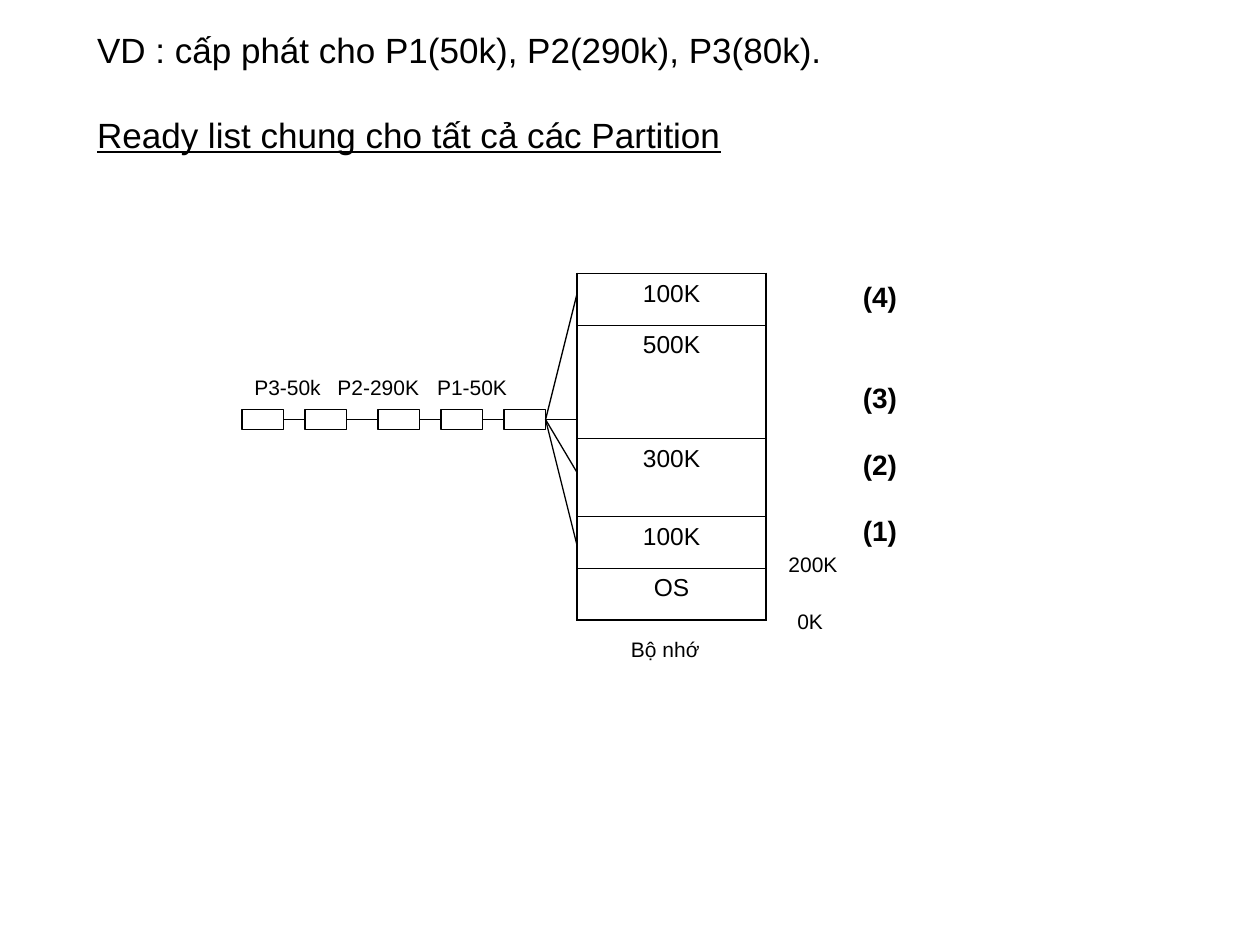
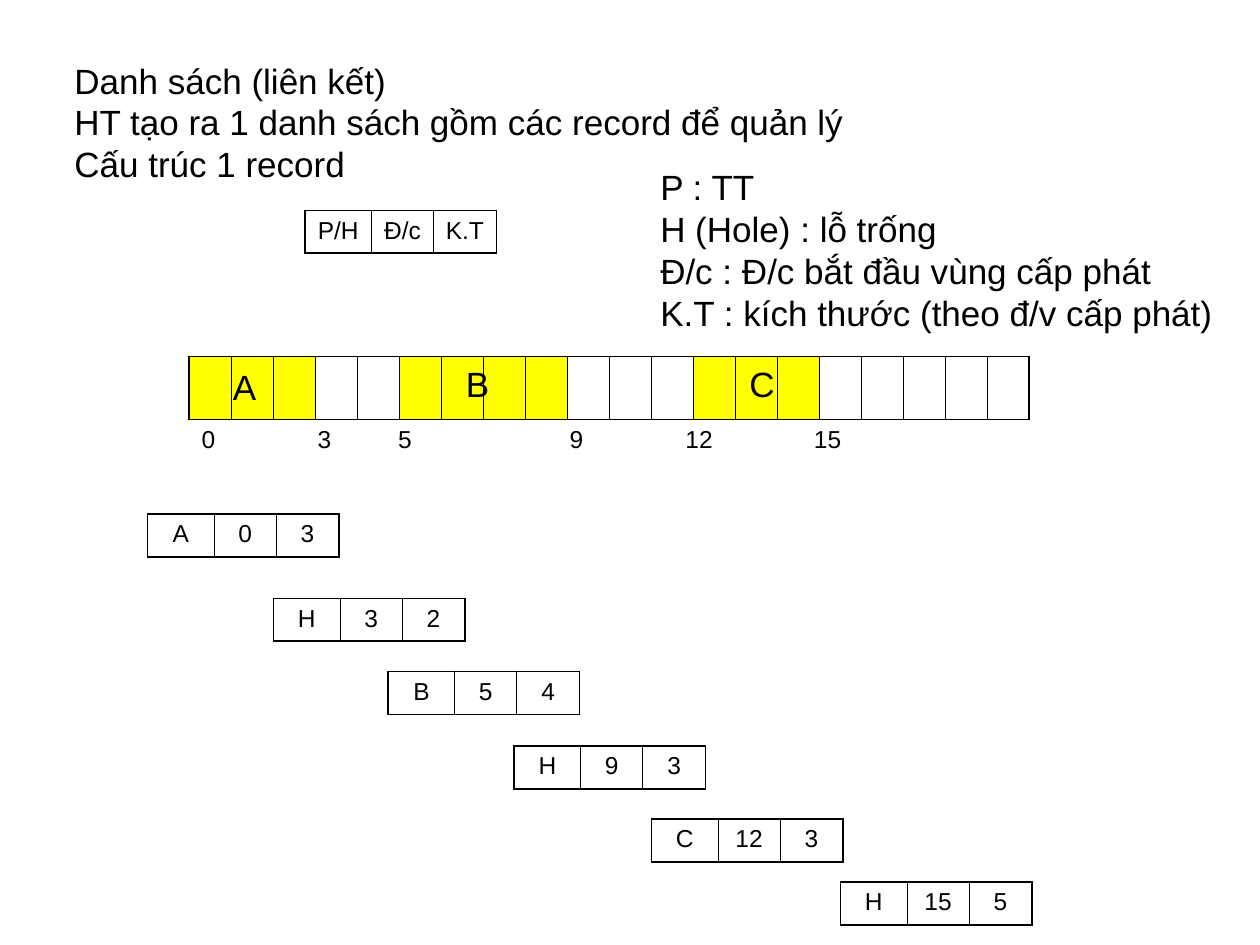
"""Build two slides on memory partitions and linked allocation records."""
from dataclasses import dataclass

from lxml import etree
from pptx import Presentation
from pptx.dml.color import RGBColor
from pptx.enum.shapes import MSO_CONNECTOR, MSO_SHAPE
from pptx.enum.text import MSO_ANCHOR, MSO_AUTO_SIZE, PP_ALIGN
from pptx.oxml.ns import qn
from pptx.util import Inches, Pt

STRAIGHT = MSO_CONNECTOR.STRAIGHT
RECTANGLE = MSO_SHAPE.RECTANGLE
TOP = MSO_ANCHOR.TOP
NO_AUTOFIT = MSO_AUTO_SIZE.NONE
LEFT, CENTER = PP_ALIGN.LEFT, PP_ALIGN.CENTER
LEFT_SIDE, RIGHT_SIDE = 1, 3
TITLE_AND_BODY, TWO_BODIES = 1, 3


@dataclass(frozen=True)
class Theme:
    """Colours, font, type sizes and line widths shared by the slides."""
    font: str = "Arial"
    ink: RGBColor = RGBColor(0, 0, 0)
    used: RGBColor = RGBColor(0xFF, 0xFF, 0)
    heading: int = 20
    number: int = 16
    cell: int = 14
    label: int = 12
    line: float = 0.75
    outer: float = 1.08
    inner: float = 0.45


THEME = Theme()
PARTITIONS = [("100K", 0.41), ("500K", 0.9), ("300K", 0.62), ("100K", 0.41), ("OS", 0.41)]
HOLE = "H"
UNITS = 20
RECORDS = [
    ("A", 0, 3, 1.17, 4.08),
    (HOLE, 3, 2, 2.17, 4.75),
    ("B", 5, 4, 3.08, 5.33),
    (HOLE, 9, 3, 4.08, 5.92),
    ("C", 12, 3, 5.17, 6.5),
    (HOLE, 15, 5, 6.67, 7),
]


def add_run(paragraph, text, size, bold=False, underline=False):
    """Add one run in the theme font."""
    run = paragraph.add_run()
    run.text = text
    font = run.font
    font.name, font.size, font.color.rgb = THEME.font, Pt(size), THEME.ink
    font.bold, font.underline = bold, underline


def fill_placeholder(placeholder, lines, left, top, width, underline=False):
    """Move a placeholder and fill it with plain left-aligned lines."""
    placeholder.left, placeholder.top = Inches(left), Inches(top)
    placeholder.width, placeholder.height = Inches(width), Inches(len(lines) / 3)
    frame = placeholder.text_frame
    frame.margin_left = frame.margin_right = frame.margin_top = frame.margin_bottom = 0
    frame.word_wrap, frame.auto_size, frame.vertical_anchor = True, NO_AUTOFIT, TOP
    for index, line in enumerate(lines):
        paragraph = frame.add_paragraph() if index else frame.paragraphs[0]
        properties = paragraph._p.get_or_add_pPr()
        properties.set("marL", "0")
        properties.set("indent", "0")
        etree.SubElement(properties, qn("a:buNone"))
        paragraph.alignment = LEFT
        paragraph.space_before = Pt(0)
        add_run(paragraph, line, THEME.heading, underline=underline)


def add_label(slide, text, left, top, width, size=THEME.label, bold=False):
    """Add a one-line text box."""
    box = slide.shapes.add_textbox(Inches(left), Inches(top), Inches(width), Inches(size / 60 + 0.1))
    box.text_frame.word_wrap = False
    add_run(box.text_frame.paragraphs[0], text, size, bold)


def set_borders(cell, widths):
    """Draw the left, right, top and bottom borders; zero hides one."""
    properties = cell._tc.get_or_add_tcPr()
    for side, width in zip("LRTB", widths):
        border = etree.SubElement(properties, qn(f"a:ln{side}"), w=str(Pt(width)))
        if width:
            fill = etree.SubElement(border, qn("a:solidFill"))
            etree.SubElement(fill, qn("a:srgbClr"), val=str(THEME.ink))
        else:
            etree.SubElement(border, qn("a:noFill"))


def add_grid(slide, left, top, columns, rows, texts, caption_rows=0):
    """Add a table with a heavy frame, and unframed caption rows below it."""
    table = slide.shapes.add_table(len(rows), len(columns), Inches(left), Inches(top),
                                   Inches(sum(columns)), Inches(sum(rows))).table
    table.first_row = table.horz_banding = False
    for column, width in zip(table.columns, columns):
        column.width = Inches(width)
    last_row, last_column = len(rows) - caption_rows - 1, len(columns) - 1
    for r, height in enumerate(rows):
        table.rows[r].height = Inches(height)
        for c in range(len(columns)):
            cell = table.cell(r, c)
            if r <= last_row:
                edges = (c == 0, c == last_column, r == 0, r == last_row)
                set_borders(cell, [THEME.outer if edge else THEME.inner for edge in edges])
            else:
                set_borders(cell, (0, 0, THEME.outer if r == last_row + 1 else 0, 0))
            cell.fill.background()
            cell.margin_left = cell.margin_right = Inches(0.05)
            if texts[r][c]:
                paragraph = cell.text_frame.paragraphs[0]
                paragraph.alignment = CENTER
                add_run(paragraph, texts[r][c], THEME.cell)
    return table


def add_record(slide, fields, left, top):
    """Add a three-field record."""
    add_grid(slide, left, top, [0.53, 0.49, 0.5], [0.34], [fields])


def add_queue_box(slide, left):
    """Add one waiting process of the ready list."""
    box = slide.shapes.add_shape(RECTANGLE, Inches(left), Inches(3.25), Inches(0.33), Inches(0.16))
    box.shadow.inherit = False
    box.fill.background()
    box.line.color.rgb, box.line.width = THEME.ink, Pt(THEME.line)
    return box


def add_link(slide, source, x=0, y=0, target=None):
    """Join a box's right side to another box or to a point."""
    link = slide.shapes.add_connector(STRAIGHT, 0, 0, Inches(x), Inches(y))
    link.begin_connect(source, RIGHT_SIDE)
    if target is not None:
        link.end_connect(target, LEFT_SIDE)
    link.line.color.rgb, link.line.width = THEME.ink, Pt(THEME.line)
    etree.SubElement(link._element.spPr, qn("a:effectLst"))


def add_ruler(slide, left, top):
    """Add the memory bar with used units filled and start addresses below."""
    blanks = [[""] * UNITS] * 2
    table = add_grid(slide, left, top, [6.67 / UNITS] * UNITS, [0.5, 0.39], blanks, caption_rows=1)
    for name, start, size, *_ in RECORDS:
        if name != HOLE:
            for unit in range(start, start + size):
                fill = table.cell(0, unit).fill
                fill.solid()
                fill.fore_color.rgb = THEME.used
    addresses = table.cell(1, 0)
    addresses.merge(table.cell(1, UNITS - 1))
    addresses.margin_left = Inches(0.1)
    paragraph = addresses.text_frame.paragraphs[0]
    stops = etree.SubElement(paragraph._p.get_or_add_pPr(), qn("a:tabLst"))
    for stop in (0.92, 1.56, 2.92, 3.84, 4.86):
        etree.SubElement(stops, qn("a:tab"), pos=str(Inches(stop)), algn="l")
    add_run(paragraph, "\t".join(str(record[1]) for record in RECORDS), THEME.cell)


def build_partition_slide(prs):
    """Show one ready list serving all partitions."""
    slide = prs.slides.add_slide(prs.slide_layouts[TITLE_AND_BODY])
    title, body = slide.placeholders
    fill_placeholder(title, ["VD : cấp phát cho P1(50k), P2(290k), P3(80k)."], 0.77, 0.23, 6.5)
    fill_placeholder(body, ["Ready list chung cho tất cả các Partition"], 0.77, 0.9, 6.5, underline=True)

    memory_left = 4.58
    add_grid(slide, memory_left, 2.17, [1.5], [height for _, height in PARTITIONS],
             [[name] for name, _ in PARTITIONS])
    for text, left, top, width in [
        ("0K", 6.23, 4.78, 0.5), ("200K", 6.16, 4.33, 0.7), ("Bộ nhớ", 4.91, 5, 0.9),
        ("P3-50k", 1.92, 2.92, 0.8), ("P2-290K", 2.58, 2.92, 0.95), ("P1-50K", 3.37, 2.92, 0.85),
    ]:
        add_label(slide, text, left, top, width)
    for number, top in zip((4, 3, 2, 1), (2.17, 2.97, 3.5, 4.03)):
        add_label(slide, f"({number})", 6.75, top, 0.6, THEME.number, bold=True)

    queue = [add_queue_box(slide, left) for left in (1.92, 2.42, 3, 3.5, 4)]
    for box, following in zip(queue, queue[1:]):
        add_link(slide, box, target=following)
    for partition_y in (2.33, 3.33, 3.75, 4.33):
        add_link(slide, queue[-1], memory_left, partition_y)


def build_record_slide(prs):
    """Show the memory bar and its list of records."""
    slide = prs.slides.add_slide(prs.slide_layouts[TWO_BODIES])
    title, structure, legend = slide.placeholders
    fill_placeholder(title, ["Danh sách (liên kết)"], 0.59, 0.47, 6.3)
    fill_placeholder(structure, ["HT tạo ra 1 danh sách gồm các record để quản lý",
                                 "Cấu trúc 1 record"], 0.59, 0.8, 6.3)
    fill_placeholder(legend, ["P : TT", "H (Hole) : lỗ trống", "Đ/c : Đ/c bắt đầu vùng cấp phát",
                              "K.T : kích thước (theo đ/v cấp phát)"], 5.24, 1.31, 4.6)
    add_record(slide, ["P/H", "Đ/c", "K.T"], 2.42, 1.67)
    add_ruler(slide, 1.5, 2.83)
    for process, left, top in [("A", 1.75, 2.85), ("B", 3.6, 2.83), ("C", 5.85, 2.83)]:
        add_label(slide, process, left, top, 0.5, THEME.heading)
    for name, start, size, left, top in RECORDS:
        add_record(slide, [name, str(start), str(size)], left, top)


def main():
    """Build and save the presentation."""
    prs = Presentation()
    prs.slide_width, prs.slide_height = Inches(10), Inches(7.5)
    build_partition_slide(prs)
    build_record_slide(prs)
    prs.save("out.pptx")


if __name__ == "__main__":
    main()
